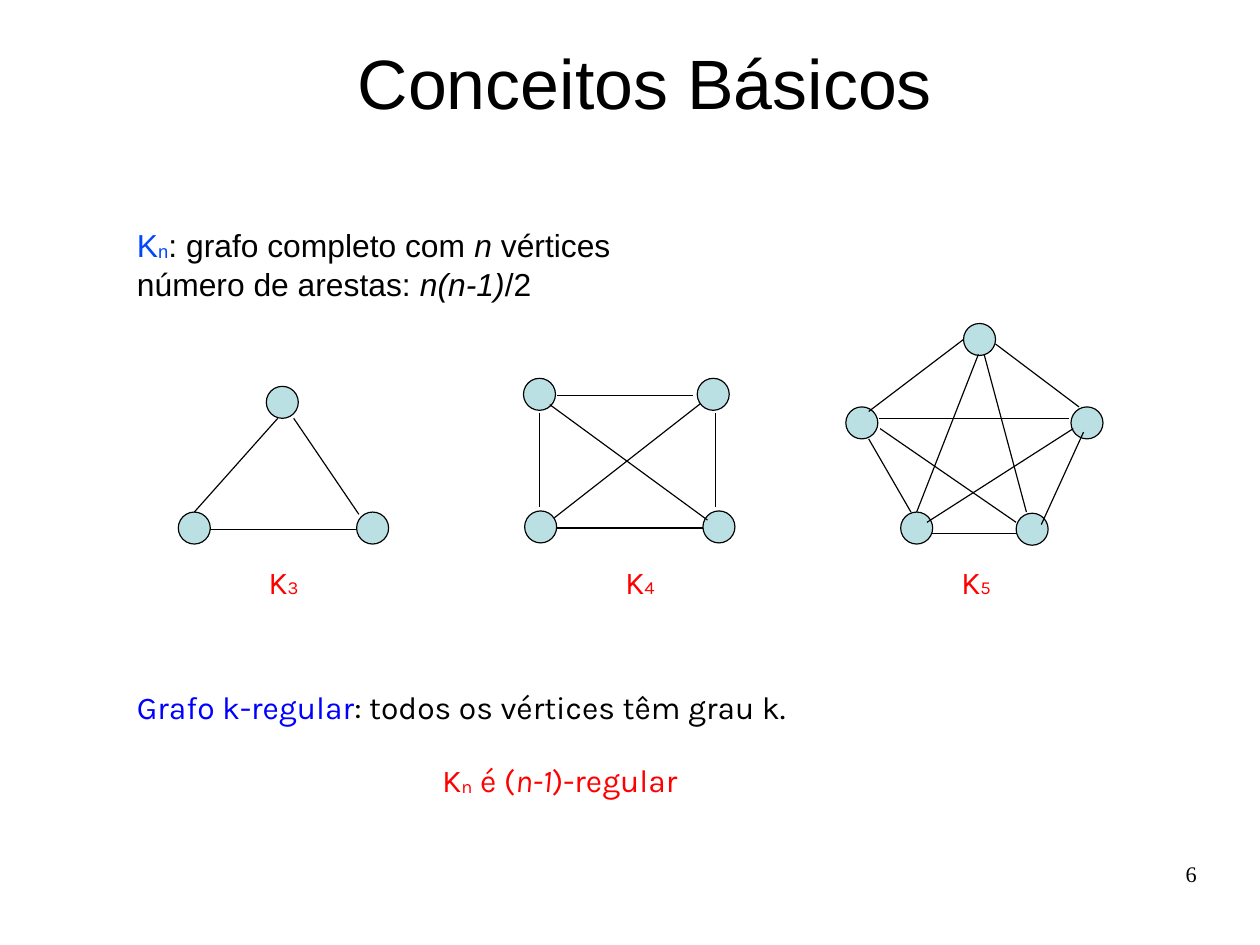
from dataclasses import dataclass

from lxml.etree import SubElement
from pptx import Presentation
from pptx.dml.color import RGBColor as RGB
from pptx.enum.shapes import MSO_CONNECTOR as Connector, MSO_SHAPE as Shape
from pptx.enum.text import MSO_ANCHOR as Anchor, PP_ALIGN as Align
from pptx.oxml.ns import qn
from pptx.util import Cm, Inches, Pt


@dataclass(frozen=True)
class Theme:
    black: str = "000000"
    blue: str = "0047FF"
    deep_blue: str = "0000FF"
    red: str = "FF0000"
    vertex: str = "BBE0E3"
    sans: str = "Arial"
    accent: str = "Karla"
    serif: str = "Times New Roman"
    title_size: int = 44
    body_size: int = 20
    number_size: int = 14
    line: float = 0.75


T = Theme()
VERTEX_SIZE = 0.28

TITLE = [[("Conceitos Básicos", {})]]
COMPLETE = [
    [("K", {"color": T.blue}), ("n", {"color": T.blue, "sub": True}),
     (": grafo completo com ", {}), ("n", {"italic": True}), (" vértices", {})],
    [("número de arestas: ", {}), ("n(n-1)", {"italic": True}), ("/2", {})],
]
REGULAR = [[("Grafo k-regular", {"color": T.deep_blue}),
            (": todos os vértices têm grau k.", {})]]
DEGREE = [[("K", {}), ("n", {"sub": True}), (" é (", {}),
           ("n-1", {"italic": True}), (")-regular", {})]]
PAGE = [[("6", {})]]

# Vertices are the top-left corners of the circles; edges are x1, y1, x2, y2.
GRAPHS = [
    {"label_left": 2.25,
     "vertices": [(2.33, 3.38), (1.56, 4.48), (3.12, 4.48)],
     "edges": [(2.43, 3.66, 1.7, 4.48), (2.57, 3.66, 3.14, 4.5),
               (1.84, 4.63, 3.12, 4.63)]},
    {"label_left": 5.37,
     "vertices": [(4.59, 4.47), (6.15, 4.47), (4.58, 3.31), (6.1, 3.31)],
     "edges": [(4.87, 4.62, 6.15, 4.62), (4.87, 3.46, 6.06, 3.46),
               (4.72, 3.61, 4.72, 4.44), (6.26, 3.61, 6.26, 4.44),
               (4.81, 3.54, 6.19, 4.55), (4.85, 4.53, 6.13, 3.53)]},
    {"label_left": 8.31,
     "vertices": [(7.88, 4.48), (8.89, 4.49), (7.4, 3.56), (9.37, 3.56),
                  (8.43, 2.83)],
     "edges": [(7.6, 3.84, 7.97, 4.48), (9.11, 4.59, 9.48, 3.78),
               (8.15, 4.67, 8.89, 4.67), (7.69, 3.66, 9.35, 3.66),
               (7.6, 3.6, 8.43, 2.97), (8.71, 3.01, 9.44, 3.56),
               (8.61, 3.1, 8.98, 4.48), (8.56, 3.1, 8.02, 4.48),
               (7.7, 3.75, 8.89, 4.57), (9.39, 3.75, 8.11, 4.57)]},
]


def inches(*values):
    return [Inches(v) for v in values]


def write(sp, lines, font=T.sans, size=T.body_size, color=T.black,
          align=Align.LEFT, anchor=Anchor.TOP, margins=(0.1, 0.05)):
    """Fill a shape with one paragraph; each line is a list of (text, format)."""
    tf = sp.text_frame
    tf.word_wrap, tf.vertical_anchor = True, anchor
    tf.margin_left = tf.margin_right = Inches(margins[0])
    tf.margin_top = tf.margin_bottom = Inches(margins[1])
    p = tf.paragraphs[0]
    p.alignment = align
    p.font.size = Pt(size)
    for i, line in enumerate(lines):
        if i:
            p.add_line_break()
        for text, style in line:
            r = p.add_run()
            r.text = text
            r.font.name, r.font.size = font, Pt(size)
            r.font.color.rgb = RGB.from_string(style.get("color", color))
            r.font.italic = style.get("italic", False)
            if style.get("sub"):
                r.font._element.set("baseline", "-1000")


def add_text(slide, box, lines, **fmt):
    write(slide.shapes.add_textbox(*inches(*box)), lines, **fmt)


def style_line(line):
    line.color.rgb = RGB.from_string(T.black)
    line.width = Pt(T.line)


def add_graph(slide, vertices, edges):
    shapes = slide.shapes.add_group_shape().shapes
    for x, y in vertices:
        sp = shapes.add_shape(Shape.OVAL, *inches(x, y, VERTEX_SIZE, VERTEX_SIZE))
        sp.shadow.inherit = False
        sp.fill.solid()
        sp.fill.fore_color.rgb = RGB.from_string(T.vertex)
        style_line(sp.line)
    for edge in edges:
        line = shapes.add_connector(Connector.STRAIGHT, *inches(*edge))
        style_line(line.line)
        SubElement(line._element.spPr, qn("a:effectLst"))


def main():
    prs = Presentation()
    prs.slide_width = Cm(28)
    prs.slide_height = Cm(21)
    slide = prs.slides.add_slide(prs.slide_layouts[5])

    title = slide.shapes.title
    title.left, title.top, title.width, title.height = inches(1.74, 0.28, 7.81, 0.87)
    write(title, TITLE, size=T.title_size, align=Align.CENTER, anchor=Anchor.MIDDLE)

    add_text(slide, (1.1, 1.93, 6.89, 1.61), COMPLETE)
    add_text(slide, (1.1, 5.97, 8.82, 0.74), REGULAR, font=T.accent)
    for graph in GRAPHS:
        add_graph(slide, graph["vertices"], graph["edges"])
        label = [[("K", {}), (str(len(graph["vertices"])), {"sub": True})]]
        add_text(slide, (graph["label_left"], 4.87, 0.5, 0.48), label,
                 font=T.accent, color=T.red)
    add_text(slide, (3.77, 6.61, 3.58, 0.46), DEGREE, font=T.accent, color=T.red)
    add_text(slide, (7.9, 7.53, 2.57, 0.57), PAGE, font=T.serif,
             size=T.number_size, align=Align.RIGHT, margins=(0, 0))
    prs.save("out.pptx")


if __name__ == "__main__":
    main()
